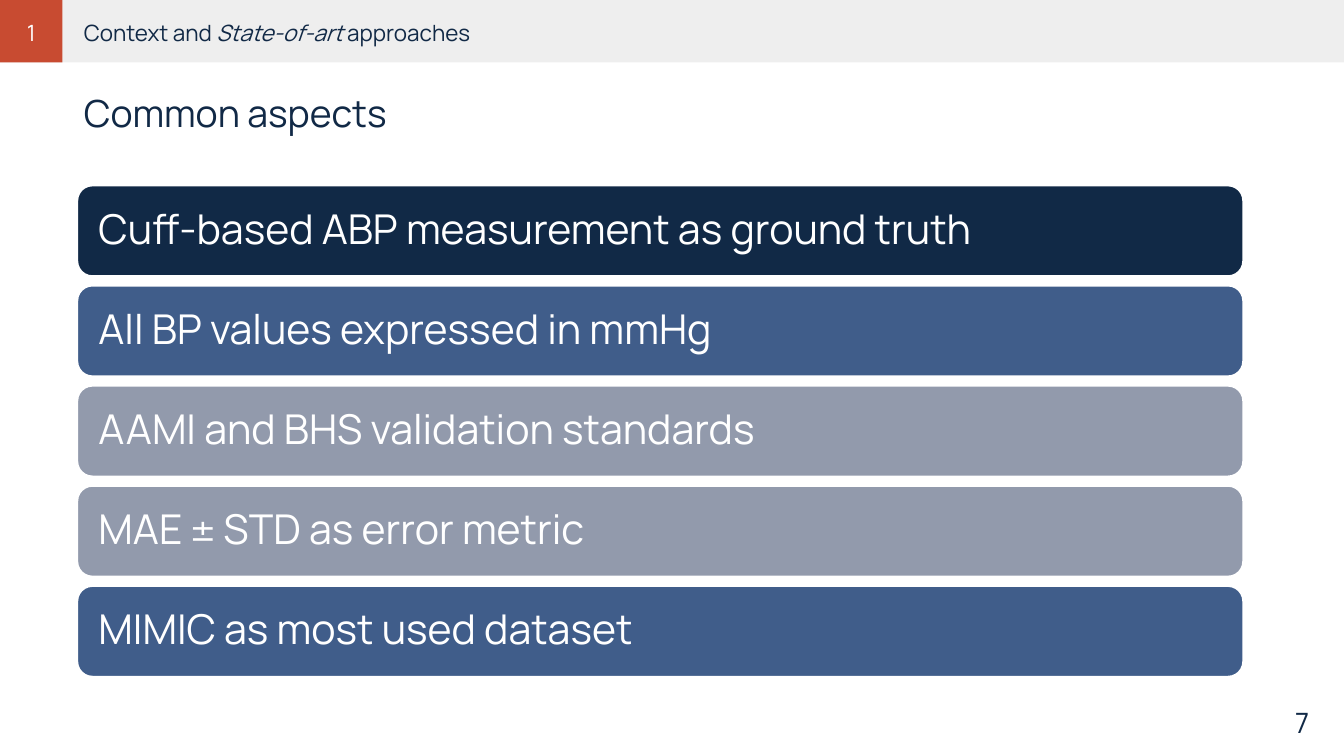
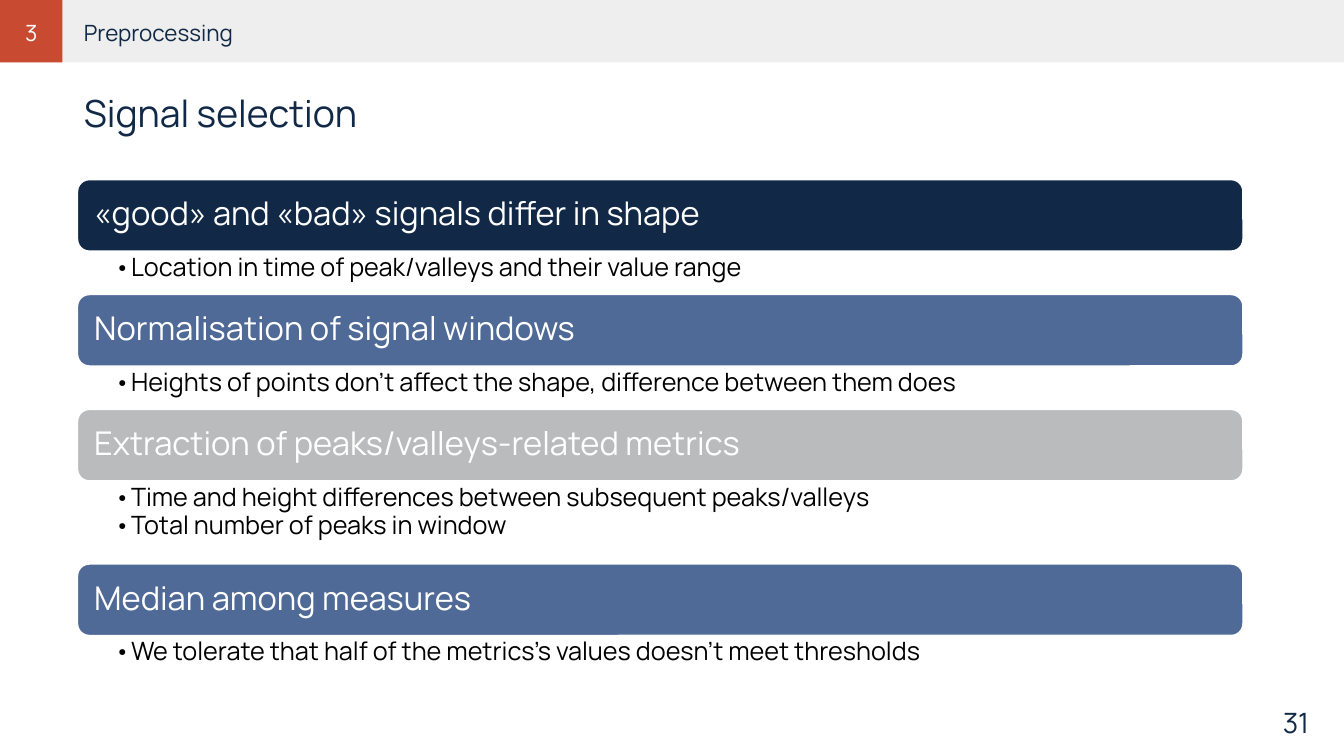
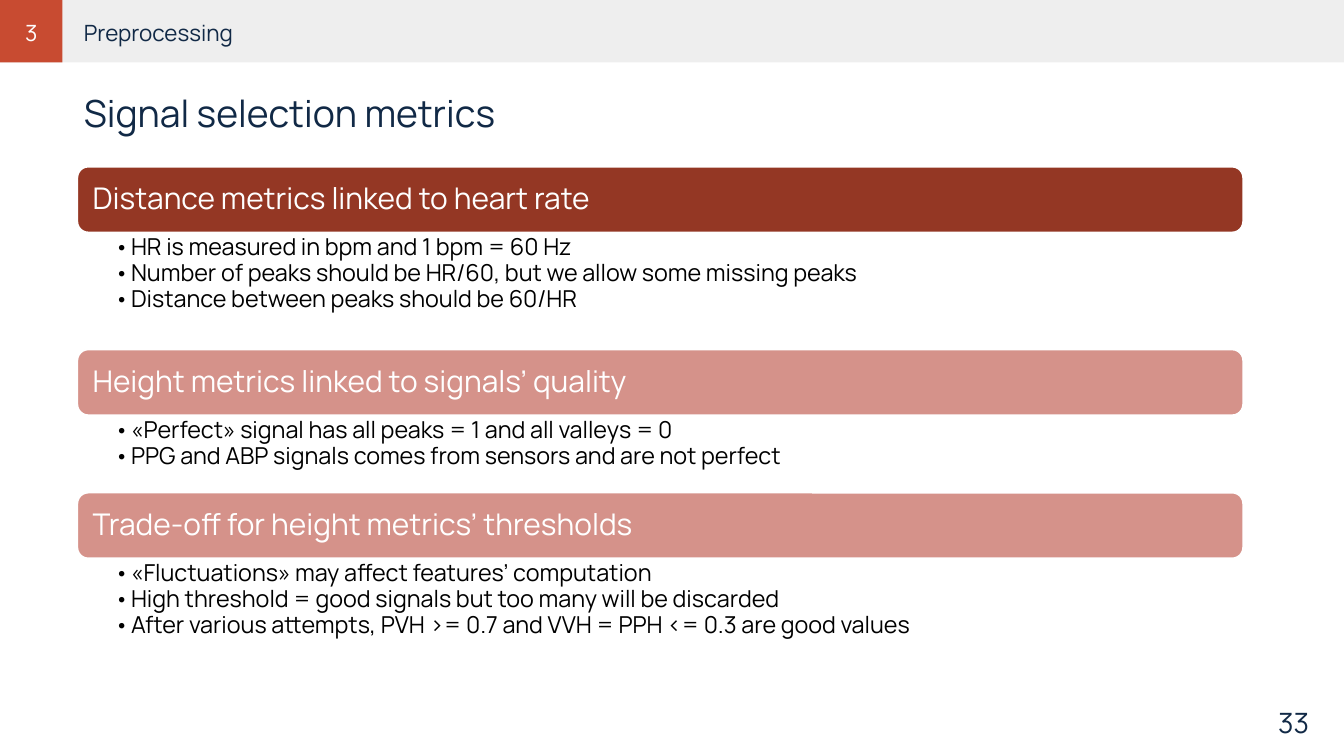
from lxml import etree
from pptx import Presentation
from pptx.dml.color import RGBColor
from pptx.enum.shapes import MSO_SHAPE
from pptx.enum.text import MSO_ANCHOR, PP_ALIGN
from pptx.oxml.ns import qn
from pptx.util import Inches, Pt

RECTANGLE = MSO_SHAPE.RECTANGLE
ROUNDED = MSO_SHAPE.ROUNDED_RECTANGLE
TOP = MSO_ANCHOR.TOP
MIDDLE = MSO_ANCHOR.MIDDLE
LEFT = PP_ALIGN.LEFT
CENTER = PP_ALIGN.CENTER
RIGHT = PP_ALIGN.RIGHT

FONT = "Manrope"
NAVY = "112946"
BLUE = "405D8A"
STEEL = "4F6A97"
SLATE = "929AAC"
SILVER = "BABBBD"
BRICK = "943724"
ROSE = "D5928A"
ORANGE = "C84B31"
PALE = "EEEEEE"
WHITE = "FFFFFF"
BLACK = "000000"

SLIDE_WIDTH, SLIDE_HEIGHT = 20, 11.25
BAND_HEIGHT = 0.93
CONTENT_LEFT, CONTENT_WIDTH = 1.15, 17.35
DEFAULT_INSETS = (0.1, 0.05, 0.1, 0.05)


def color(value):
    return RGBColor.from_string(value)


def set_attributes(target, values):
    for name, value in values.items():
        setattr(target, name, value)


class Deck:
    def __init__(self):
        self.presentation = Presentation()
        self.presentation.slide_width = Inches(SLIDE_WIDTH)
        self.presentation.slide_height = Inches(SLIDE_HEIGHT)
        self.slide = None

    def add_slide(self, section, header, title, page):
        self.slide = self.presentation.slides.add_slide(self.presentation.slide_layouts[6])
        self.box(RECTANGLE, 0, 0, SLIDE_WIDTH, BAND_HEIGHT, PALE)
        self.box(RECTANGLE, 0, 0, BAND_HEIGHT, BAND_HEIGHT, ORANGE)
        self.text(17.25, 10.55, 2.33, 0.4, [page], 30, align=RIGHT, anchor=MIDDLE)
        self.text(CONTENT_LEFT, 0.23, CONTENT_WIDTH, 0.45, [header], 24)
        self.text(0.11, 0.23, 0.71, 0.45, [section], 24, WHITE, CENTER)
        self.text(CONTENT_LEFT, 1.3, CONTENT_WIDTH, 0.73, [title], 40)

    def box(self, kind, left, top, width, height, fill, line=None):
        shape = self.slide.shapes.add_shape(
            kind, Inches(left), Inches(top), Inches(width), Inches(height))
        shape.shadow.inherit = False
        shape.fill.solid()
        shape.fill.fore_color.rgb = color(fill)
        if line:
            shape.line.color.rgb = color(line)
            shape.line.width = Pt(2)
        else:
            shape.line.fill.background()
        return shape

    def text(self, left, top, width, height, paragraphs, size, ink=NAVY, align=LEFT,
             anchor=TOP, insets=DEFAULT_INSETS, bullets=False):
        shape = self.slide.shapes.add_textbox(
            Inches(left), Inches(top), Inches(width), Inches(height))
        self.fill_text(shape, paragraphs, size, ink, align, anchor, insets, bullets)

    def fill_text(self, shape, paragraphs, size, ink, align, anchor, insets,
                  bullets=False, line_spacing=None):
        frame = shape.text_frame
        margins = ("margin_left", "margin_top", "margin_right", "margin_bottom")
        set_attributes(frame, dict(zip(margins, map(Inches, insets))))
        set_attributes(frame, {"word_wrap": True, "vertical_anchor": anchor})
        for index, content in enumerate(paragraphs):
            paragraph = frame.paragraphs[0] if index == 0 else frame.add_paragraph()
            if bullets:
                self.bullet(paragraph)
            set_attributes(paragraph, {
                "alignment": align,
                "line_spacing": 0.9 if bullets else line_spacing,
                "space_after": Pt(1.2) if bullets else None,
            })
            runs = [(content, False)] if isinstance(content, str) else content
            for words, italic in runs:
                run = paragraph.add_run()
                run.text = words
                set_attributes(run.font, {"name": FONT, "size": Pt(size), "italic": italic})
                run.font.color.rgb = color(ink)

    def bullet(self, paragraph):
        paragraph.level = 1
        properties = paragraph._p.get_or_add_pPr()
        properties.set("marL", str(Inches(0.25)))
        properties.set("indent", str(-Inches(0.25)))
        etree.SubElement(properties, qn("a:buFont")).set("typeface", FONT)
        etree.SubElement(properties, qn("a:buChar")).set("char", "•")

    def bars(self, top, bar_height, bar_size, bar_inset, gaps, items,
             list_size=None, list_insets=DEFAULT_INSETS):
        for heading, fill, points in items:
            bar = self.box(ROUNDED, CONTENT_LEFT, top, CONTENT_WIDTH, bar_height, fill, WHITE)
            self.fill_text(bar, [heading], bar_size, WHITE, LEFT, MIDDLE,
                           (bar_inset,) * 4, line_spacing=0.9)
            top += bar_height
            gap = gaps[len(points)]
            if points:
                self.text(CONTENT_LEFT, top, CONTENT_WIDTH, gap, points, list_size, BLACK,
                          insets=list_insets, bullets=True)
            top += gap


def main():
    deck = Deck()

    deck.add_slide(
        "1", [("Context and ", False), ("State-of-art ", True), ("approaches", False)],
        "Common aspects", "7")
    deck.bars(2.76, 1.35, 44, 0.25, {0: 0.14}, [
        ("Cuff-based ABP measurement as ground truth", NAVY, []),
        ("All BP values expressed in mmHg", BLUE, []),
        ("AAMI and BHS validation standards", SLATE, []),
        ("MAE ± STD as error metric", SLATE, []),
        ("MIMIC as most used dataset", BLUE, []),
    ])

    deck.add_slide("3", "Preprocessing", "Signal selection", "31")
    deck.bars(2.67, 1.07, 35, 0.2, {1: 0.64, 2: 1.23}, [
        ("«good» and «bad» signals differ in shape", NAVY,
         ["Location in time of peak/valleys and their value range"]),
        ("Normalisation of signal windows", STEEL,
         ["Heights of points don’t affect the shape, difference between them does"]),
        ("Extraction of peaks/valleys-related metrics", SILVER,
         ["Time and height differences between subsequent peaks/valleys",
          "Total number of peaks in window"]),
        ("Median among measures", STEEL,
         ["We tolerate that half of the metrics’s values doesn’t meet thresholds"]),
    ], 27, (0.55, 0.05, 0.27, 0.05))

    deck.add_slide("3", "Preprocessing", "Signal selection metrics", "33")
    deck.bars(2.48, 0.98, 32, 0.18, {2: 1.15, 3: 1.74}, [
        ("Distance metrics linked to heart rate", BRICK,
         ["HR is measured in bpm and 1 bpm = 60 Hz",
          "Number of peaks should be HR/60, but we allow some missing peaks",
          "Distance between peaks should be 60/HR"]),
        ("Height metrics linked to signals’ quality", ROSE,
         ["«Perfect» signal has all peaks = 1 and all valleys = 0",
          "PPG and ABP signals comes from sensors and are not perfect"]),
        ("Trade-off for height metrics’ thresholds", ROSE,
         ["«Fluctuations» may affect features’ computation",
          "High threshold = good signals but too many will be discarded",
          "After various attempts, PVH >= 0.7 and VVH = PPH <= 0.3 are good values"]),
    ], 25, (0.55, 0.04, 0.25, 0.04))

    deck.presentation.save("out.pptx")


if __name__ == "__main__":
    main()
